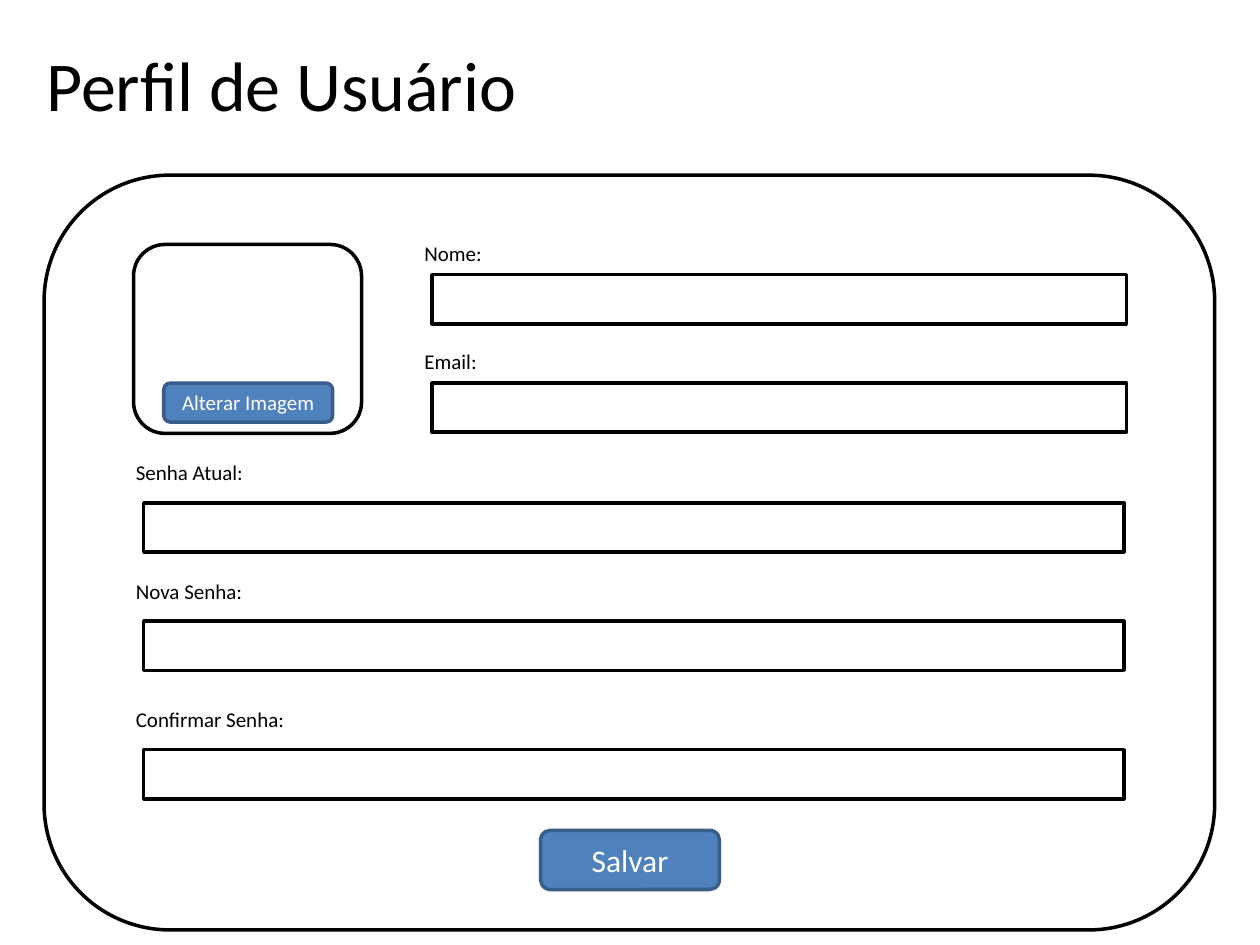
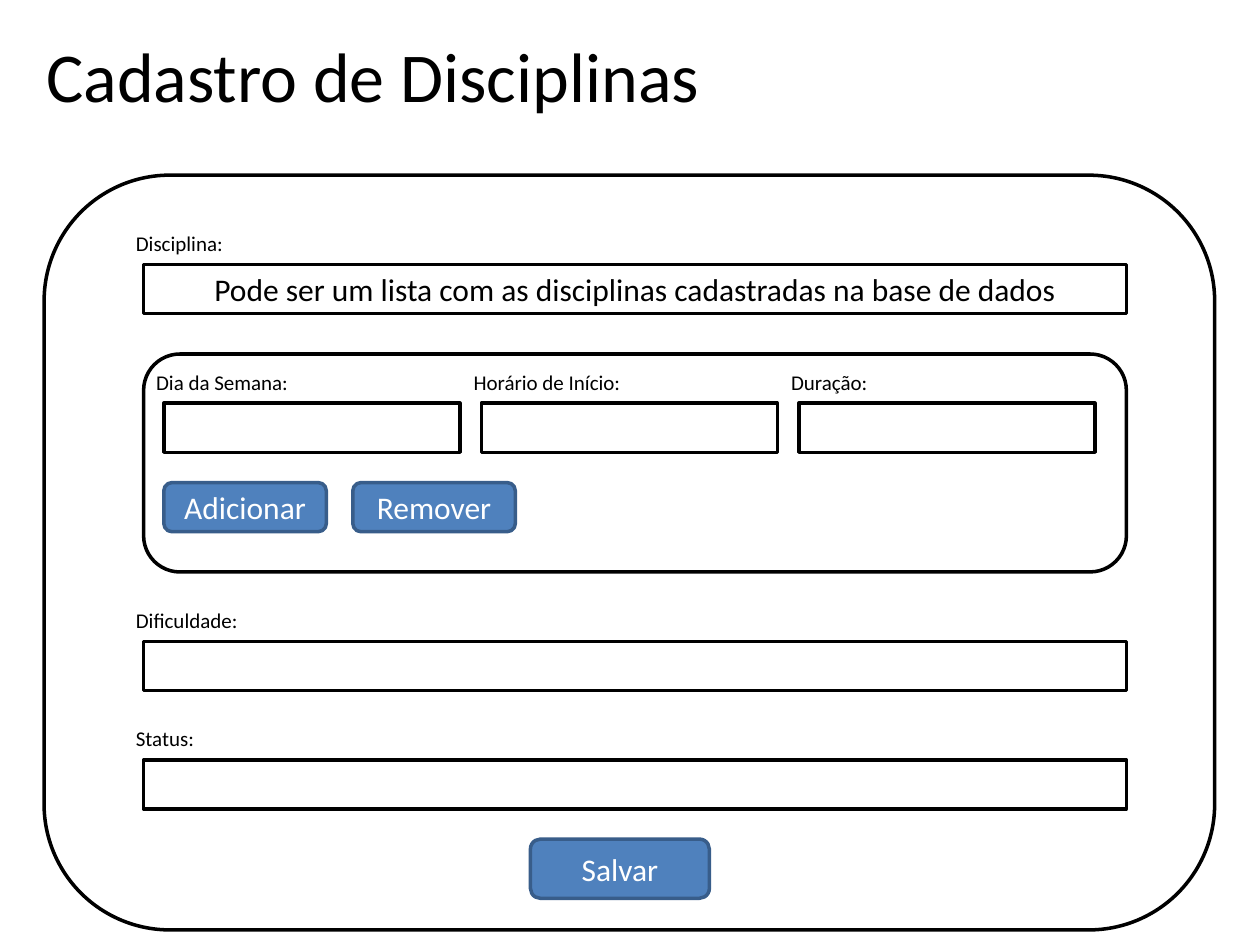
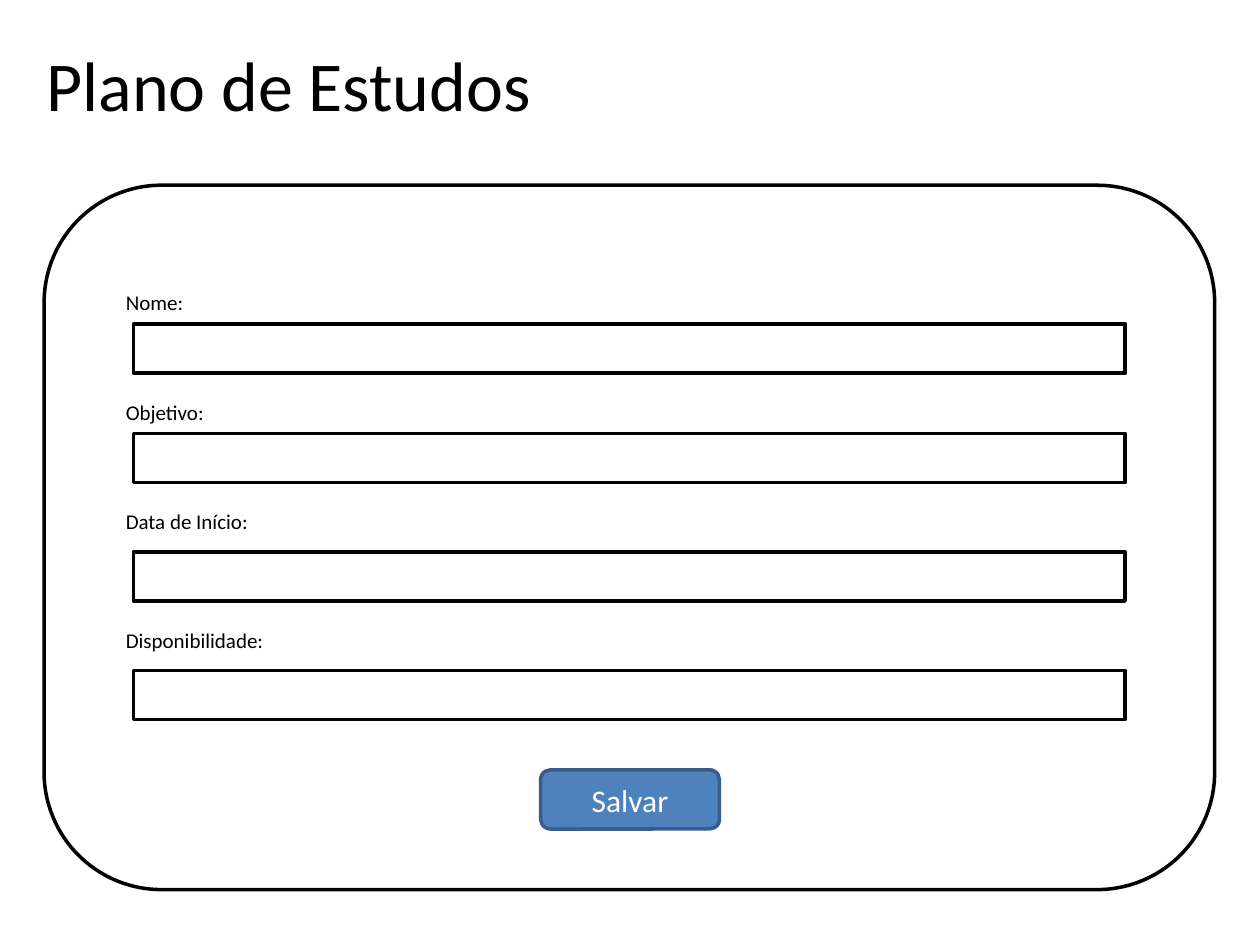
from pptx import Presentation
from pptx.dml.color import RGBColor
from pptx.enum.shapes import MSO_SHAPE as SHAPE
from pptx.enum.text import MSO_ANCHOR as ANCHOR, MSO_AUTO_SIZE as AUTO, PP_ALIGN as ALIGN
from pptx.util import Inches, Pt


def rgb(value):
    return RGBColor.from_string(value)


def write(tf, text, size=18, color="000000", font="Calibri", align=ALIGN.LEFT, anchor=ANCHOR.TOP):
    tf.word_wrap = True
    tf.vertical_anchor = anchor
    p = tf.paragraphs[0]
    p.alignment = align
    r = p.add_run()
    r.text = text
    r.font.name = font
    r.font.size = Pt(size)
    r.font.color.rgb = rgb(color)


class Form:
    INK, PAPER = "000000", "FFFFFF"
    BUTTON, BUTTON_EDGE = "4F81BD", "385D8A"
    FIELD_H, LABEL_H, LABEL_SHIFT = 0.39, 0.3, 0.16
    NEAR, FAR = 0.32, 0.39

    def __init__(self, prs):
        self.prs = prs
        self.s = None

    def new_slide(self, title, top=0.28):
        self.s = self.prs.slides.add_slide(self.prs.slide_layouts[6])
        self.text(title, 0.27, top, 5.91, 0.77, size=40)

    def text(self, text, x, y, w, h, size=12):
        tf = self.s.shapes.add_textbox(Inches(x), Inches(y), Inches(w), Inches(h)).text_frame
        write(tf, text, size=size, color=self.INK)
        tf.auto_size = AUTO.SHAPE_TO_FIT_TEXT

    def box(self, kind, x, y, w, h, fill=PAPER, line=INK):
        sp = self.s.shapes.add_shape(kind, Inches(x), Inches(y), Inches(w), Inches(h))
        sp.shadow.inherit = False
        sp.fill.solid()
        sp.fill.fore_color.rgb = rgb(fill)
        sp.line.color.rgb = rgb(line)
        sp.line.width = Pt(2)
        return sp

    def panel(self, x, y, w, h):
        return self.box(SHAPE.ROUNDED_RECTANGLE, x, y, w, h)

    def field(self, label, x, y, w, gap=NEAR, label_w=1.26, value=None):
        sp = self.box(SHAPE.RECTANGLE, x, y, w, self.FIELD_H)
        if value:
            write(sp.text_frame, value, color=self.INK, align=ALIGN.CENTER, anchor=ANCHOR.MIDDLE)
        self.text(label, x - self.LABEL_SHIFT, y - gap, label_w, self.LABEL_H)

    def button(self, text, x, y, w=1.42, h=0.47, size=18):
        sp = self.box(SHAPE.ROUNDED_RECTANGLE, x, y, w, h, self.BUTTON, self.BUTTON_EDGE)
        write(sp.text_frame, text, size=size, color=self.PAPER,
              align=ALIGN.CENTER, anchor=ANCHOR.MIDDLE)


def user_profile(form):
    form.new_slide("Perfil de Usuário")
    form.panel(0.35, 1.39, 9.29, 5.99)
    for label, y in (("Nome:", 2.18), ("Email:", 3.04)):
        form.field(label, 3.43, y, 5.51)
    for label, y, label_w in (("Senha Atual:", 3.99, 1.26), ("Nova Senha:", 4.93, 1.26),
                              ("Confirmar Senha:", 5.95, 1.57)):
        form.field(label, 1.14, y, 7.78, gap=form.FAR, label_w=label_w)
    form.panel(1.06, 1.94, 1.81, 1.5)
    form.button("Alterar Imagem", 1.3, 3.04, 1.34, 0.31, size=12)
    form.button("Salvar", 4.29, 6.59)


def course_entry(form):
    form.new_slide("Cadastro de Disciplinas", top=0.21)
    form.panel(0.35, 1.39, 9.29, 5.99)
    form.panel(1.14, 2.81, 7.8, 1.73)
    hint = "Pode ser um lista com as disciplinas cadastradas na base de dados"
    for label, y, value in (("Disciplina:", 2.1, hint), ("Dificuldade:", 5.09, None),
                            ("Status:", 6.03, None)):
        form.field(label, 1.14, y, 7.8, label_w=1.67, value=value)
    for i, label in enumerate(("Dia da Semana:", "Horário de Início:", "Duração:")):
        form.field(label, 1.3 + 2.52 * i, 3.2, 2.35, label_w=1.62)
    for i, text in enumerate(("Adicionar", "Remover")):
        form.button(text, 1.3 + 1.5 * i, 3.83, 1.29, 0.39)
    form.button("Salvar", 4.21, 6.66)


def study_plan(form):
    form.new_slide("Plano de Estudos")
    form.panel(0.35, 1.47, 9.29, 5.59)
    for label, y, gap in (("Nome:", 2.57, form.NEAR), ("Objetivo:", 3.44, form.NEAR),
                          ("Data de Início:", 4.38, form.FAR),
                          ("Disponibilidade:", 5.32, form.FAR)):
        form.field(label, 1.06, y, 7.87, gap=gap, label_w=1.34)
    form.button("Salvar", 4.29, 6.11)


def main():
    prs = Presentation()
    prs.slide_width, prs.slide_height = Inches(10), Inches(7.5)
    form = Form(prs)
    for build in (user_profile, course_entry, study_plan):
        build(form)
    prs.save("out.pptx")


if __name__ == "__main__":
    main()
